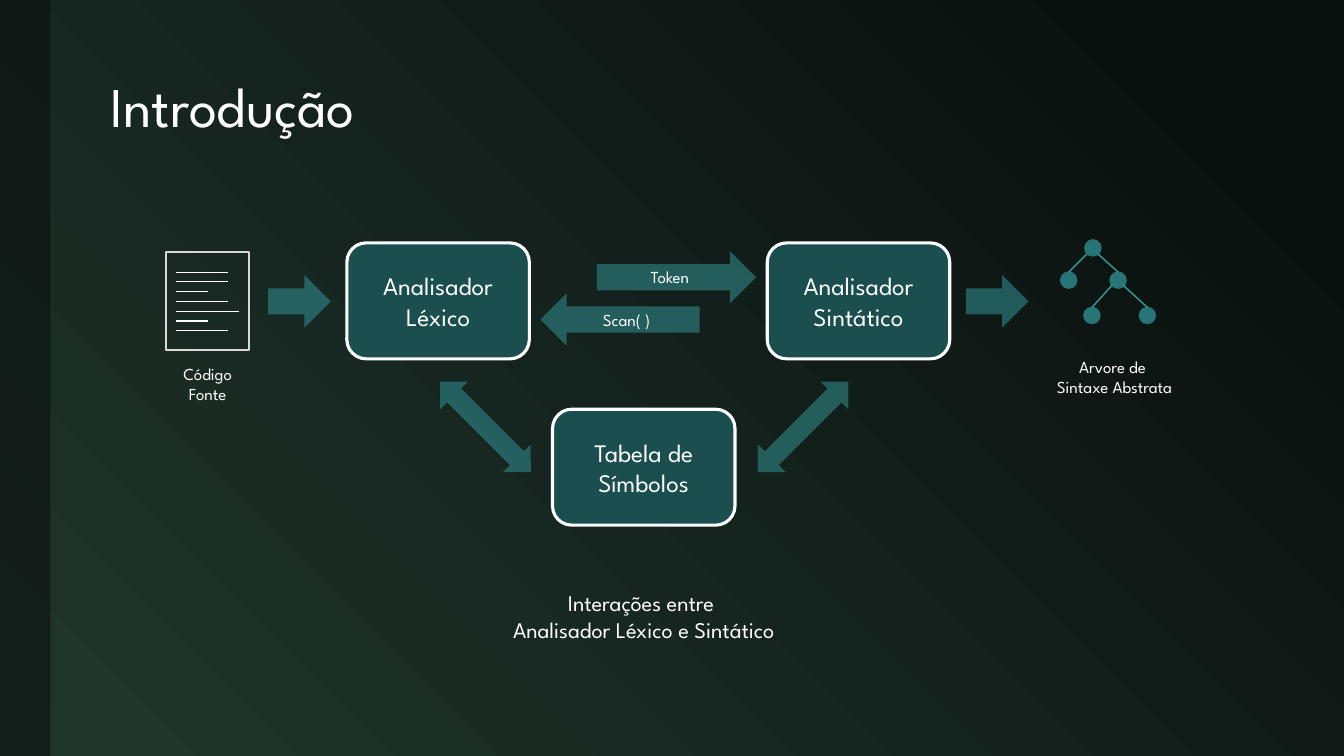
import copy

import pptx
import pptx.util
import pptx.dml.color
import pptx.enum.shapes
import pptx.enum.text
import pptx.oxml
import lxml.etree

Inches, Pt = pptx.util.Inches, pptx.util.Pt
SHAPE = pptx.enum.shapes.MSO_SHAPE
ALIGN = pptx.enum.text.PP_ALIGN
ANCHOR = pptx.enum.text.MSO_ANCHOR
rgb = pptx.dml.color.RGBColor.from_string
A = "{http://schemas.openxmlformats.org/drawingml/2006/main}"


def write(tf, paragraphs, size, align=ALIGN.CENTER):
    for i, lines in enumerate(paragraphs):
        p = tf.add_paragraph() if i else tf.paragraphs[0]
        p.alignment = align
        for j, line in enumerate(lines.split("\n")):
            if j:
                p.add_line_break()
                p._p[-1].append(copy.deepcopy(r._r.rPr))
            r = p.add_run()
            r.text = line
            r.font.name = "League Spartan"
            r.font.size = Pt(size)
            r.font.color.rgb = rgb("FFFFFF")


def add_shape(kind, x, y, w, h, fill=None, alpha=None, line=None, line_width=1):
    sp = s.shapes.add_shape(kind, Inches(x), Inches(y), Inches(w), Inches(h))
    sp.shadow.inherit = False
    if fill:
        sp.fill.solid()
        sp.fill.fore_color.rgb = rgb(fill)
    else:
        sp.fill.background()
    if alpha:
        color = sp._element.spPr.find(f"{A}solidFill/{A}srgbClr")
        lxml.etree.SubElement(color, A + "alpha", val=str(alpha * 1000))
    if line:
        sp.line.color.rgb = rgb(line)
        sp.line.width = Pt(line_width)
    else:
        sp.line.fill.background()
    return sp


prs = pptx.Presentation()
prs.slide_width, prs.slide_height = Inches(13.33), Inches(7.5)
s = prs.slides.add_slide(prs.slide_layouts[5])

bg = s.background.fill
bg.gradient()
bg.gradient_angle = 225
for stop, position, color in zip(bg.gradient_stops, (0.1, 1), ("0A100E", "20362D")):
    stop.position = position
    stop.color.rgb = rgb(color)

add_shape(SHAPE.RECTANGLE, 0, 0, 0.5, 7.5, "0A100E", 60)

title = s.shapes.title
title.left, title.top = Inches(1), Inches(0.42)
title.width, title.height = Inches(11.65), Inches(1.33)
title.text_frame.vertical_anchor = ANCHOR.MIDDLE
write(title.text_frame, ["Introdução"], 40, ALIGN.LEFT)
title.text_frame.paragraphs[0].line_spacing = 0.9

for x, y, label in [
    (3.44, 2.41, "Analisador Léxico"),
    (7.61, 2.41, "Analisador Sintático"),
    (5.48, 4.06, "Tabela de Símbolos"),
]:
    sp = add_shape(SHAPE.ROUNDED_RECTANGLE, x, y, 1.81, 1.15, "1A4E4F", None, "FFFFFF", 2.25)
    write(sp.text_frame, [label], 18)

for kind, x, y, w, h, angle, label in [
    (SHAPE.RIGHT_ARROW, 5.92, 2.49, 1.58, 0.52, 0, "Token"),
    (SHAPE.LEFT_ARROW, 5.36, 2.91, 1.58, 0.52, 0, "Scan( )"),
    (SHAPE.LEFT_RIGHT_ARROW, 4.18, 4.04, 1.27, 0.39, 45, None),
    (SHAPE.LEFT_RIGHT_ARROW, 7.33, 4.04, 1.27, 0.39, 135, None),
    (SHAPE.RIGHT_ARROW, 2.66, 2.73, 0.62, 0.52, 0, None),
    (SHAPE.RIGHT_ARROW, 9.58, 2.73, 0.62, 0.52, 0, None),
]:
    sp = add_shape(kind, x, y, w, h, "339C9F", 50)
    sp.rotation = angle
    if label:
        write(sp.text_frame, [label], 12)

add_shape(SHAPE.RECTANGLE, 1.65, 2.5, 0.82, 0.97, None, None, "D9D9D9", 1.5)
for x, y in [(10.76, 2.38), (10.52, 2.7), (11.01, 2.7), (10.75, 3.05), (11.3, 3.05)]:
    add_shape(SHAPE.OVAL, x, y, 0.16, 0.16, "267577", None, "267376")

code_ends = [2.26, 2.26, 2.06, 2.26, 2.37, 2.06, 2.26]
code_lines = [
    (1.75, 2.7 + i * 0.097, end, 2.7 + i * 0.097, "FFFFFF", 0.75)
    for i, end in enumerate(code_ends)
]
branches = [
    (10.89, 2.52, 11.09, 2.7, "339C9F", 1),
    (10.78, 2.52, 10.6, 2.7, "339C9F", 1),
    (11.14, 2.83, 11.38, 3.05, "339C9F", 1),
    (10.83, 3.05, 11.03, 2.83, "339C9F", 1),
]
for x1, y1, x2, y2, color, width in code_lines + branches:
    line = s.shapes.add_connector(
        pptx.enum.shapes.MSO_CONNECTOR.STRAIGHT,
        Inches(x1), Inches(y1), Inches(x2), Inches(y2),
    )
    line.line.color.rgb = rgb(color)
    line.line.width = Pt(width)
    lxml.etree.SubElement(line._element.spPr, A + "effectLst")

for x, y, w, h, size, paragraphs in [
    (4.74, 5.8, 3.29, 0.64, 16, ["Interações entre \nAnalisador Léxico e Sintático"]),
    (1.65, 3.56, 0.82, 0.5, 12, ["Código", "Fonte"]),
    (10.29, 3.49, 1.53, 0.5, 12, ["Arvore de \nSintaxe Abstrata"]),
]:
    tf = s.shapes.add_textbox(Inches(x), Inches(y), Inches(w), Inches(h)).text_frame
    tf.word_wrap = False
    tf.auto_size = pptx.enum.text.MSO_AUTO_SIZE.SHAPE_TO_FIT_TEXT
    write(tf, paragraphs, size)

prs.save("out.pptx")
